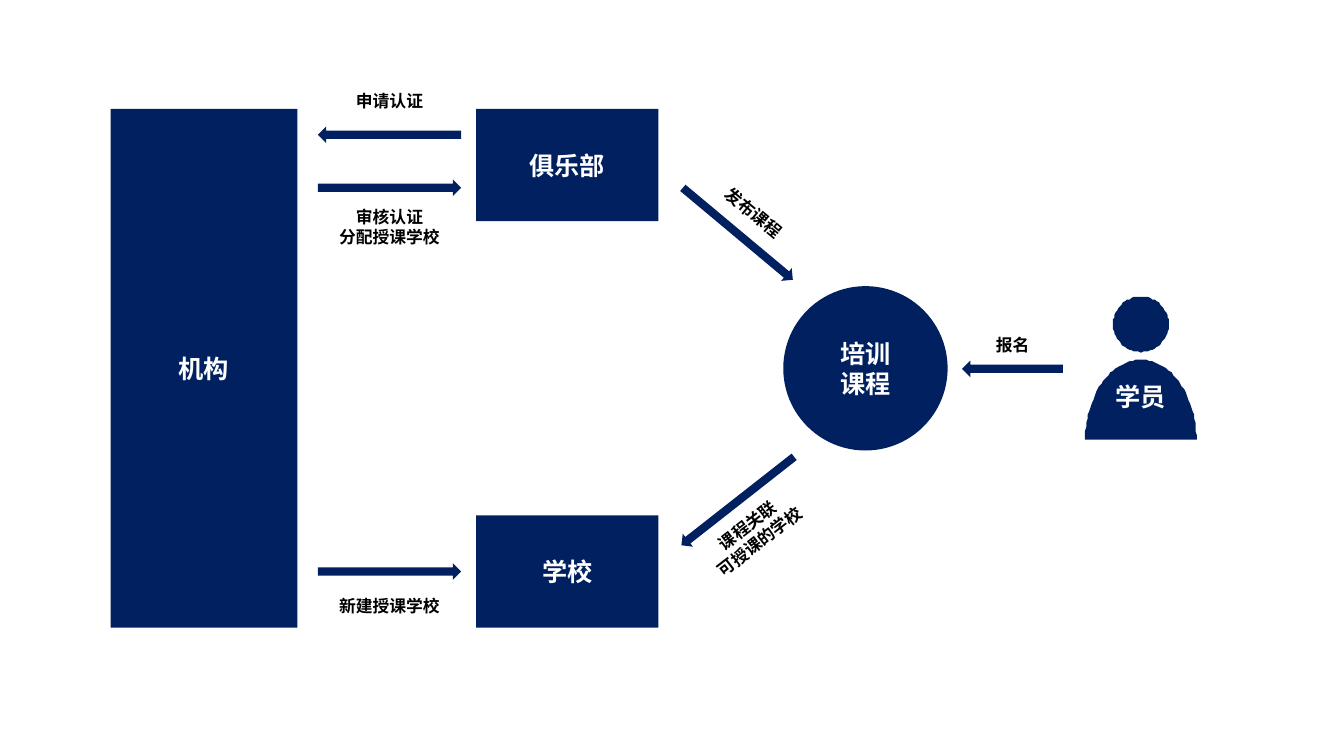
import math

import pptx
import pptx.dml.color
import pptx.enum.shapes
import pptx.enum.text
import pptx.util
from pptx.oxml.ns import qn

FONT = "Noto Sans CJK SC"
NAVY = "002060"
WHITE = "FFFFFF"
BLACK = "000000"
SHAPES = pptx.enum.shapes.MSO_SHAPE
Pt = pptx.util.Pt


def color(value):
    return pptx.dml.color.RGBColor.from_string(value)


def fill_navy(shape):
    shape.shadow.inherit = False
    shape.fill.solid()
    shape.fill.fore_color.rgb = color(NAVY)
    shape.line.fill.background()


def write_text(shape, text, size, text_color):
    text_frame = shape.text_frame
    text_frame.text = text
    text_frame.vertical_anchor = pptx.enum.text.MSO_ANCHOR.MIDDLE
    for paragraph in text_frame.paragraphs:
        paragraph.alignment = pptx.enum.text.PP_ALIGN.CENTER
        for run in paragraph.runs:
            run.font.size = Pt(size)
            run.font.bold = True
            run.font.color.rgb = color(text_color)
            run.font.name = FONT
            east_asian = run.font._element.makeelement(qn("a:ea"), {"typeface": FONT})
            run.font._element.find(qn("a:latin")).addnext(east_asian)


def add_node(slide, kind, left, top, width, height, text):
    shape = slide.shapes.add_shape(kind, Pt(left), Pt(top), Pt(width), Pt(height))
    fill_navy(shape)
    write_text(shape, text, 18, WHITE)


def add_arrow(slide, center_x, center_y, length, rotation=0):
    thickness = 11.8
    shape = slide.shapes.add_shape(
        SHAPES.LEFT_ARROW, Pt(center_x - length / 2), Pt(center_y - thickness / 2),
        Pt(length), Pt(thickness))
    shape.rotation = rotation
    fill_navy(shape)


def add_label(slide, center_x, center_y, text, rotation=0, size=12, text_color=BLACK):
    lines = text.split("\n")
    width = max(map(len, lines)) * size + 14.4
    height = len(lines) * size * 1.2 + 7.2
    shape = slide.shapes.add_textbox(
        Pt(center_x - width / 2), Pt(center_y - height / 2), Pt(width), Pt(height))
    shape.rotation = rotation
    shape.text_frame.word_wrap = False
    write_text(shape, text, size, text_color)


def add_organisations(slide, left, top, width, height):
    institution_width, unit_width, unit_height = 133.4, 130.2, 80.2
    unit_left = left + width - unit_width
    add_node(slide, SHAPES.RECTANGLE, left, top, institution_width, height, "机构")
    for unit_top, name in ((top, "俱乐部"), (top + height - unit_height, "学校")):
        add_node(slide, SHAPES.RECTANGLE, unit_left, unit_top, unit_width, unit_height, name)

    middle = (left + institution_width + unit_left) / 2 + 2
    for offset, rotation in ((18.5, 0), (56.3, 180), (330.4, 180)):
        add_arrow(slide, middle, top + offset, 102.4, rotation)
    for offset, text in ((-6, "申请认证"), (84.2, "审核认证\n分配授课学校"), (355, "新建授课学校")):
        add_label(slide, middle, top + offset, text)


def add_course(slide, left, top, diameter):
    add_node(slide, SHAPES.OVAL, left, top, diameter, diameter, "培训\n课程")
    arrow_x = left - 32.5
    add_arrow(slide, arrow_x, top - 37.4, 102.4, 219.9)
    add_arrow(slide, arrow_x, top + 153.5, 102.4, 321.9)
    add_label(slide, left - 20.9, top - 52.4, "发布课程", 39.6)
    add_label(slide, left - 21.3, top + 176.6, "课程关联\n可授课的学校", 322.3)


def add_student(slide, left, top, width, height):
    center_x = left + width / 2
    head_radius = width / 4
    body_height = 57
    bottom = top + height
    shoulders = [
        (center_x + width / 2 * math.cos(math.radians(angle)),
         bottom - body_height * math.sin(math.radians(angle)))
        for angle in range(0, 181, 3)]
    head = [
        (center_x + head_radius * math.cos(math.radians(angle)),
         top + head_radius * (1 + math.sin(math.radians(angle))))
        for angle in range(0, 360, 5)]
    builder = slide.shapes.build_freeform(*shoulders[0], scale=Pt(1))
    builder.add_line_segments(shoulders[1:])
    builder.move_to(*head[0])
    builder.add_line_segments(head[1:])
    fill_navy(builder.convert_to_shape())
    add_label(slide, center_x, bottom - 30.5, "学员", size=18, text_color=WHITE)
    add_arrow(slide, left - 52, top + 51.7, 72)
    add_label(slide, left - 51.8, top + 34.5, "报名")


def main():
    presentation = pptx.Presentation()
    presentation.slide_width = Pt(960)
    presentation.slide_height = Pt(540)
    slide = presentation.slides.add_slide(presentation.slide_layouts[6])
    add_organisations(slide, 79, 77.8, 391.3, 370.5)
    add_course(slide, 559.5, 204.4, 117.4)
    add_student(slide, 775.2, 211.8, 79.5, 102.2)
    presentation.save("out.pptx")


if __name__ == "__main__":
    main()
